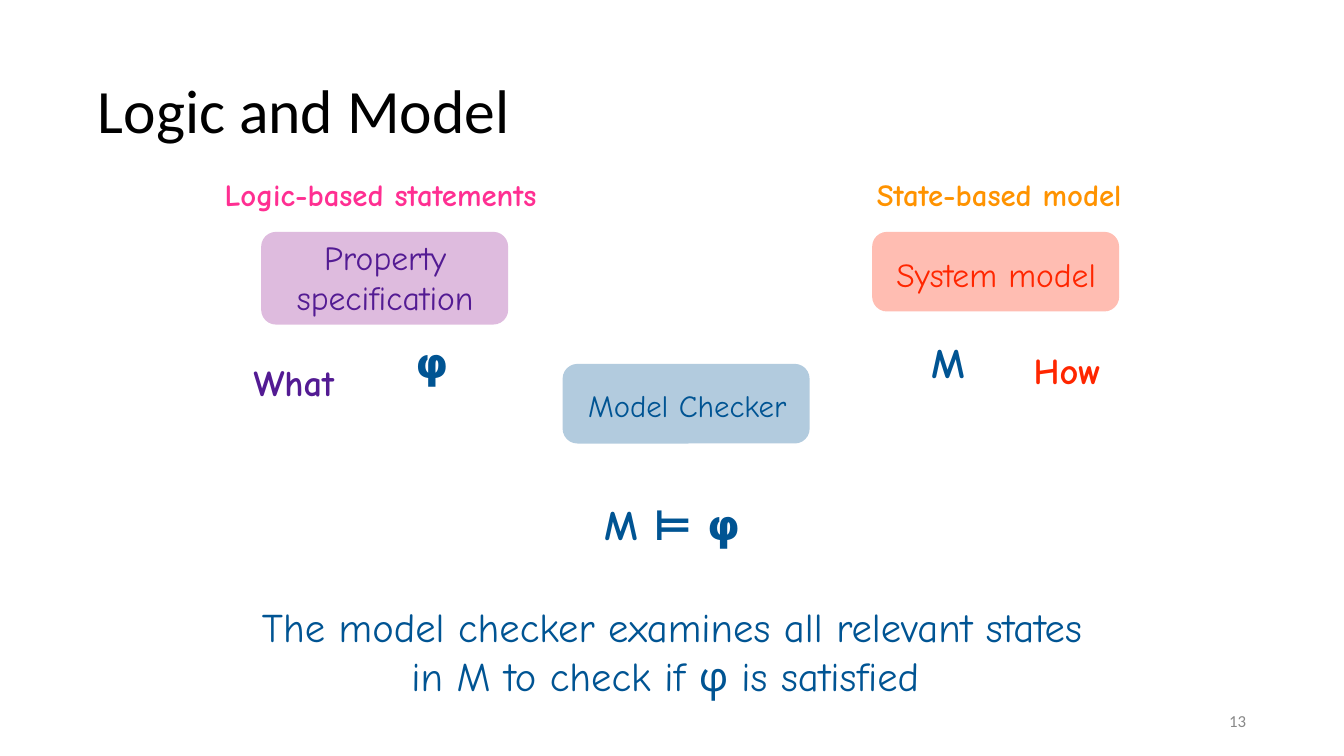
from dataclasses import dataclass

from lxml import etree
from pptx import Presentation
from pptx.dml.color import RGBColor
from pptx.enum.shapes import MSO_SHAPE
from pptx.enum.text import MSO_ANCHOR, MSO_AUTO_SIZE, PP_ALIGN
from pptx.oxml.ns import qn
from pptx.slide import Slide
from pptx.util import Inches, Pt

ROUNDED = MSO_SHAPE.ROUNDED_RECTANGLE
MIDDLE, BOTTOM = MSO_ANCHOR.MIDDLE, MSO_ANCHOR.BOTTOM
LEFT, CENTER, RIGHT = PP_ALIGN.LEFT, PP_ALIGN.CENTER, PP_ALIGN.RIGHT
GROW, FIXED = MSO_AUTO_SIZE.SHAPE_TO_FIT_TEXT, MSO_AUTO_SIZE.NONE

HAND, SANS = "Comic Neue", "Calibri"
COLORS = {
    "black": "000000", "grey": "888888", "blue": "005493", "red": "FF2600",
    "plum": "942193", "purple": "531B93", "pink": "FF2F92", "orange": "FF9300",
}
Box = tuple[float, float, float, float]

PANEL_WIDTH = 2.45
PANEL_RADIUS = 0.147
PANEL_OPACITY = 30


@dataclass
class Panel:
    left: float
    top: float
    height: float
    color: str


@dataclass
class Label:
    text: str
    box: Box
    size: float
    color: str
    bold: bool = True
    anchor: MSO_ANCHOR = BOTTOM
    wrap: bool = False


PANELS = [
    Panel(2.59, 2.3, 0.92, "plum"),
    Panel(8.65, 2.3, 0.79, "red"),
    Panel(5.58, 3.61, 0.79, "blue"),
]
LABELS = [
    Label("Property\nspecification", (2.81, 2.23, 2.02, 0.96), 24, "purple", bold=False),
    Label("System model", (8.75, 2.44, 2.26, 0.52), 24, "red", bold=False),
    Label("Model Checker", (5.74, 3.78, 2.15, 0.46), 22, "blue", bold=False),
    Label("What", (2.41, 3.44, 1.01, 0.61), 26, "purple"),
    Label("How", (10.19, 3.32, 0.79, 0.61), 26, "red"),
    Label("Logic-based statements", (2.03, 1.6, 3.49, 0.55), 22, "pink"),
    Label("State-based model", (8.5, 1.6, 2.82, 0.55), 22, "orange"),
    Label("M ⊨ φ ", (5.92, 4.78, 1.5, 0.71), 30, "blue"),
    Label("The model checker examines all relevant states in M to check if φ is satisfied ",
          (2.54, 5.83, 8.26, 1.15), 29, "blue", bold=False, wrap=True),
    Label("M", (9.18, 3.25, 0.45, 0.68), 30, "blue", anchor=MIDDLE),
    Label("φ", (4.08, 3.26, 0.3, 0.66), 30, "blue", anchor=MIDDLE),
]


def add_text(s: Slide, text: str, box: Box, *, size: float, color: str,
             font: str = HAND, bold: bool = False, align: PP_ALIGN = CENTER,
             anchor: MSO_ANCHOR = MIDDLE, wrap: bool = False, inset: float = 0.04,
             fit: MSO_AUTO_SIZE = GROW, spacing: float = 1.0) -> None:
    """Add a text box with one paragraph for each line of text."""
    tf = s.shapes.add_textbox(*map(Inches, box)).text_frame
    tf.word_wrap, tf.auto_size, tf.vertical_anchor = wrap, fit, anchor
    tf.margin_left = tf.margin_right = Inches(inset)
    tf.margin_top = tf.margin_bottom = Inches(inset)
    for i, line in enumerate(text.split("\n")):
        p = tf.add_paragraph() if i else tf.paragraphs[0]
        p.alignment, p.line_spacing = align, spacing
        r = p.add_run()
        r.text = line
        r.font.name, r.font.size, r.font.bold = font, Pt(size), bold
        r.font.color.rgb = RGBColor.from_string(COLORS[color])


def add_panel(s: Slide, panel: Panel) -> None:
    """Add a borderless, translucent rounded rectangle."""
    sp = s.shapes.add_shape(ROUNDED, Inches(panel.left), Inches(panel.top),
                            Inches(PANEL_WIDTH), Inches(panel.height))
    sp.adjustments[0] = PANEL_RADIUS / panel.height
    sp.shadow.inherit = False
    sp.line.fill.background()
    sp.fill.solid()
    sp.fill.fore_color.rgb = RGBColor.from_string(COLORS[panel.color])
    rgb = sp._element.spPr.find(qn("a:solidFill")).find(qn("a:srgbClr"))
    etree.SubElement(rgb, qn("a:alpha")).set("val", str(PANEL_OPACITY * 1000))


def main() -> None:
    prs = Presentation()
    prs.slide_width, prs.slide_height = Inches(13.33), Inches(7.5)
    s = prs.slides.add_slide(prs.slide_layouts[6])

    add_text(s, "Logic and Model", (0.92, 0.4, 11.5, 1.45), size=44, color="black",
             font=SANS, align=LEFT, wrap=True, inset=0.05, fit=FIXED, spacing=0.9)
    for panel in PANELS:
        add_panel(s, panel)
    for label in LABELS:
        add_text(s, label.text, label.box, size=label.size, color=label.color,
                 bold=label.bold, anchor=label.anchor, wrap=label.wrap)
    add_text(s, "13", (12.13, 7.02, 0.28, 0.27), size=12, color="grey",
             font=SANS, align=RIGHT, inset=0.05)

    prs.save("out.pptx")


if __name__ == "__main__":
    main()
